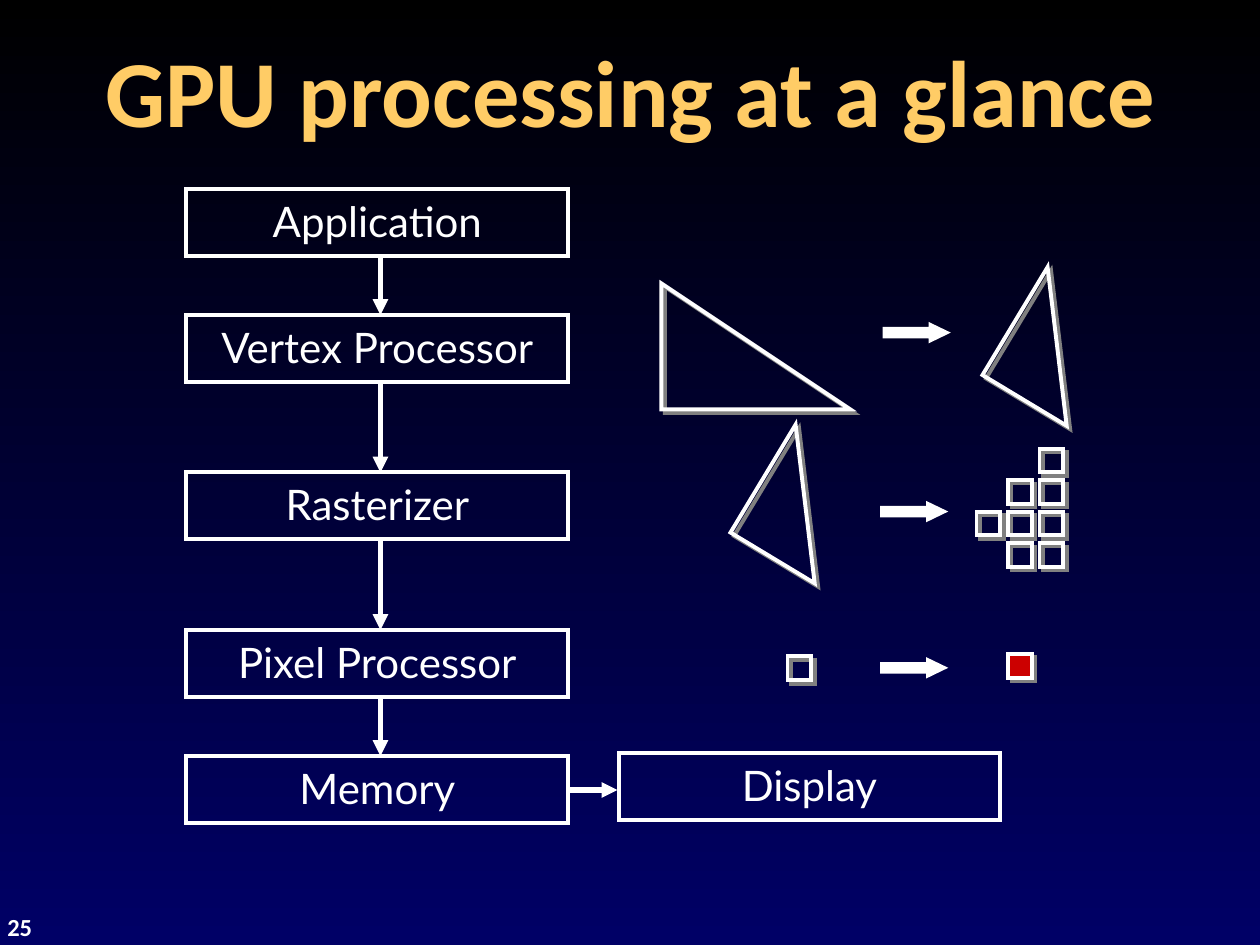
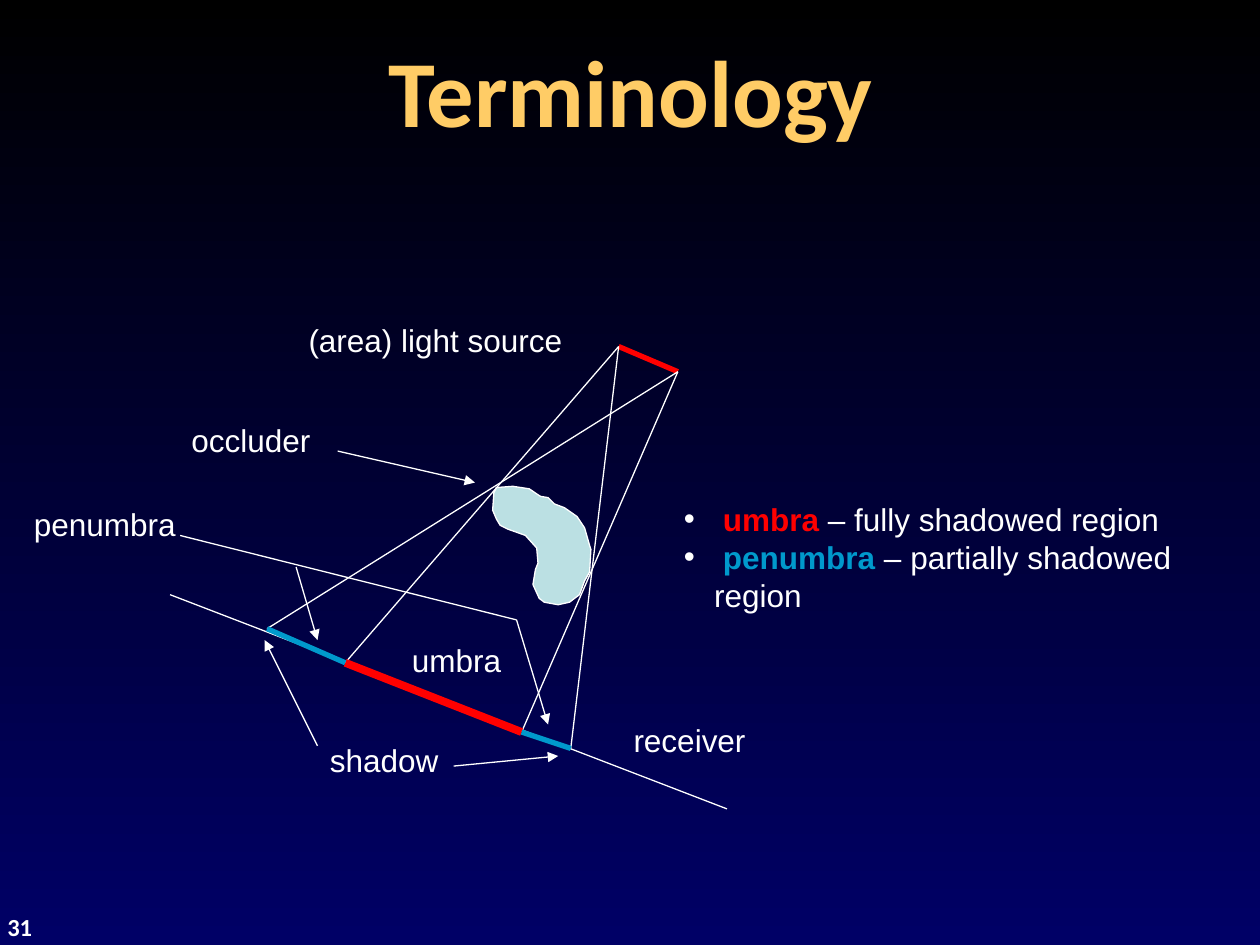
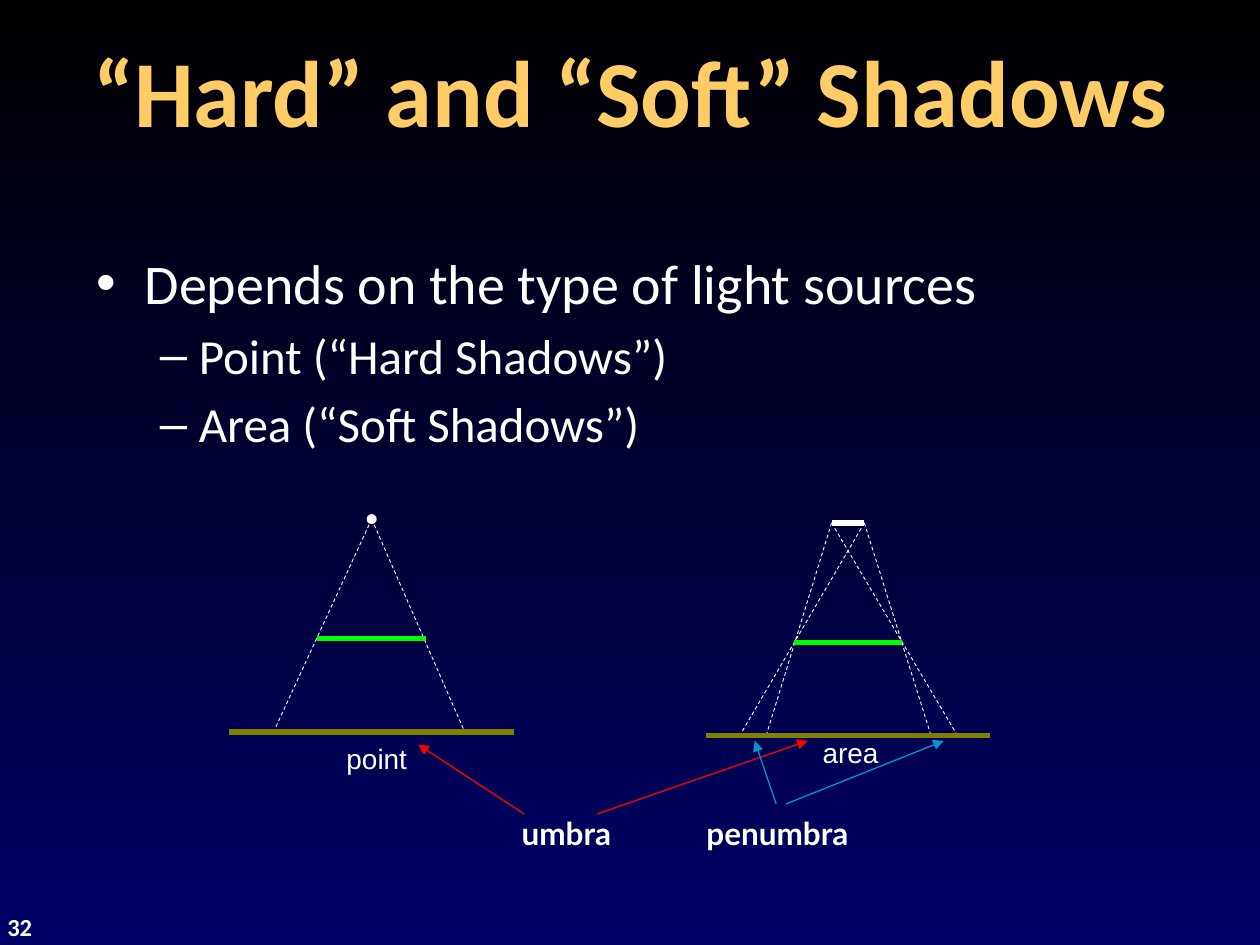
from dataclasses import dataclass
from itertools import pairwise

from lxml.etree import SubElement
from pptx import Presentation
from pptx.dml.color import RGBColor
from pptx.enum.dml import MSO_LINE
from pptx.enum.shapes import MSO_CONNECTOR, MSO_SHAPE
from pptx.enum.text import MSO_ANCHOR, MSO_AUTO_SIZE, PP_ALIGN
from pptx.oxml.ns import qn
from pptx.util import Inches, Pt


@dataclass(frozen=True)
class Theme:
    # Colours
    sky: str = "000000"
    deep: str = "000066"
    title: str = "FFCC66"
    white: str = "FFFFFF"
    shade: str = "808080"
    pixel: str = "CC0000"
    umbra: str = "FF0000"
    penumbra: str = "0099CC"
    occluder: str = "BBE0E3"
    blocker: str = "00FF00"
    ground: str = "808000"
    # Fonts
    heading: str = "Calibri"
    diagram: str = "Lato"
    plain: str = "Arial"
    # Type sizes in points
    title_size: int = 54
    body_size: int = 32
    sub_size: int = 28
    step_size: int = 24
    label_size: int = 18
    caption_size: int = 16
    number_size: int = 14
    # Line widths in points
    hair: float = 0.75
    ray: float = 0.5
    outline: float = 2.25
    thick: float = 3
    heavy: float = 4.5


THEME = Theme()


def rgb(color):
    return RGBColor.from_string(color)


def add_run(paragraph, text, font, size, color=THEME.white, bold=False):
    run = paragraph.add_run()
    run.text = text
    run.font.name = font
    run.font.size = Pt(size)
    run.font.bold = bold
    run.font.color.rgb = rgb(color)


def add_bullet(paragraph, mark, margin, hanging):
    properties = paragraph._p.get_or_add_pPr()
    properties.set("marL", str(Inches(margin)))
    properties.set("indent", str(-Inches(hanging)))
    SubElement(properties, qn("a:buFont"), typeface=THEME.plain)
    SubElement(properties, qn("a:buChar"), char=mark)


def add_drop_shadow(shape):
    effects = shape.element.spPr.find(qn("a:effectLst"))
    shadow = SubElement(effects, qn("a:outerShdw"), dist=str(Pt(2.8)),
                        dir="2700000", algn="ctr", rotWithShape="0")
    SubElement(shadow, qn("a:srgbClr"), val=THEME.shade)


def sharpen_corners(shape):
    SubElement(shape.element.spPr.find(qn("a:ln")), qn("a:miter"), lim="800000")


class Panel:
    """A region whose parts are placed in inches from its top left corner."""

    def __init__(self, slide, left, top, grouped=False):
        self.shapes = slide.shapes.add_group_shape().shapes if grouped else slide.shapes
        self.left, self.top = left, top

    def point(self, x, y):
        return Inches(self.left + x), Inches(self.top + y)

    def line(self, start, end, color=THEME.white, width=THEME.hair,
             dashed=False, arrow=False):
        connector = self.shapes.add_connector(
            MSO_CONNECTOR.STRAIGHT, *self.point(*start), *self.point(*end))
        connector.line.color.rgb = rgb(color)
        connector.line.width = Pt(width)
        if dashed:
            connector.line.dash_style = MSO_LINE.DASH
        properties = connector.element.spPr
        if arrow:
            SubElement(properties.find(qn("a:ln")), qn("a:tailEnd"), type="triangle")
        SubElement(properties, qn("a:effectLst"))

    def shape(self, preset, x, y, width, height, fill=None,
              outline=THEME.outline, raised=False):
        shape = self.shapes.add_shape(
            preset, *self.point(x, y), Inches(width), Inches(height))
        return self.style(shape, fill, outline, raised)

    def style(self, shape, fill, outline, raised=False):
        shape.shadow.inherit = False
        if fill:
            shape.fill.solid()
            shape.fill.fore_color.rgb = rgb(fill)
        else:
            shape.fill.background()
        if outline:
            shape.line.color.rgb = rgb(THEME.white)
            shape.line.width = Pt(outline)
            sharpen_corners(shape)
        else:
            shape.line.fill.background()
        if raised:
            add_drop_shadow(shape)
        return shape

    def text_frame(self, x, y, width, height, wrap=True):
        box = self.shapes.add_textbox(
            *self.point(x, y), Inches(width), Inches(height))
        box.text_frame.word_wrap = wrap
        return box.text_frame

    def label(self, text, x, y, width, height=0.4, font=THEME.plain,
              size=THEME.label_size, bold=False, align=PP_ALIGN.LEFT, wrap=False):
        paragraph = self.text_frame(x, y, width, height, wrap).paragraphs[0]
        paragraph.alignment = align
        add_run(paragraph, text, font, size, bold=bold)


# Shared background, title and slide number
def set_background(master):
    fill = master.background.fill
    fill.gradient()
    fill.gradient_angle = 270
    for stop, color in zip(fill.gradient_stops, (THEME.sky, THEME.deep)):
        stop.color.rgb = rgb(color)


def add_titled_slide(deck, title, number):
    slide = deck.slides.add_slide(deck.slide_layouts.get_by_name("Title Only"))
    heading = slide.shapes.title
    heading.left, heading.top = Inches(0.17), Inches(0.17)
    heading.width, heading.height = Inches(9.67), Inches(1.08)
    frame = heading.text_frame
    frame.auto_size = MSO_AUTO_SIZE.NONE
    frame.vertical_anchor = MSO_ANCHOR.MIDDLE
    frame.paragraphs[0].alignment = PP_ALIGN.CENTER
    add_run(frame.paragraphs[0], title, THEME.heading, THEME.title_size,
            THEME.title, True)
    Panel(slide, -0.04, 7.19).label(
        number, 0, 0, 0.66, 0.33, THEME.heading, THEME.number_size, True, wrap=True)
    return slide


# GPU processing: stages from top to bottom
STEP_WIDTH, STEP_HEIGHT = 3.03, 0.53
STEPS = {"Application": 0, "Vertex Processor": 1, "Rasterizer": 2.25,
         "Pixel Processor": 3.5, "Memory": 4.5}


def add_step(panel, name, x, y):
    step = panel.shape(MSO_SHAPE.RECTANGLE, x, y, STEP_WIDTH, STEP_HEIGHT)
    frame = step.text_frame
    frame.vertical_anchor = MSO_ANCHOR.TOP
    frame.paragraphs[0].alignment = PP_ALIGN.CENTER
    add_run(frame.paragraphs[0], name, THEME.diagram, THEME.step_size)


def add_pipeline(slide, left, top):
    panel = Panel(slide, left, top)
    for name, y in STEPS.items():
        add_step(panel, name, 0, y)
    for y, next_y in pairwise(STEPS.values()):
        panel.line((1.54, y + STEP_HEIGHT), (1.54, next_y),
                   width=THEME.thick, arrow=True)
    panel.line((STEP_WIDTH, 4.77), (3.42, 4.77), width=THEME.thick, arrow=True)
    add_step(panel, "Display", 3.43, 4.48)


def add_becomes(panel, x, y):
    arrow = panel.shape(MSO_SHAPE.RIGHT_ARROW, x, y, 0.49, 0.12, THEME.white)
    arrow.adjustments[1] = 1.033


def add_triangle(panel, x, y, width=0.78, rotation=31.1):
    triangle = panel.shape(MSO_SHAPE.RIGHT_TRIANGLE, x, y, width, 1, raised=True)
    triangle.rotation = rotation


def add_fragment(panel, x, y, fill=None):
    panel.shape(MSO_SHAPE.RECTANGLE, x, y, 0.19, 0.19, fill, raised=True)


def add_vertex_example(slide, left, top):
    panel = Panel(slide, left, top, grouped=True)
    add_triangle(panel, 0, 0, 1.5, 0)
    add_triangle(panel, 2.75, 0)
    add_becomes(panel, 1.77, 0.33)


def add_raster_example(slide, left, top):
    panel = Panel(slide, left, top, grouped=True)
    add_triangle(panel, 0, 0)
    for row, columns in enumerate([(2,), (1, 2), (0, 1, 2), (1, 2)]):
        for column in columns:
            add_fragment(panel, 1.75 + 0.25 * column, 0.06 + 0.25 * row)
    add_becomes(panel, 1, 0.5)


def add_pixel_example(slide, left, top):
    panel = Panel(slide, left, top, grouped=True)
    add_fragment(panel, 0, 0.02)
    add_becomes(panel, 0.75, 0.05)
    add_fragment(panel, 1.75, 0, THEME.pixel)


# Terminology: outline of the occluder, clockwise
OCCLUDER = [
    (0.03, 0.03), (0.16, 0.02), (0.29, 0.04), (0.35, 0.08), (0.38, 0.1),
    (0.44, 0.11), (0.49, 0.16), (0.57, 0.19), (0.67, 0.26), (0.73, 0.35),
    (0.77, 0.49), (0.78, 0.52), (0.77, 0.7), (0.73, 0.77), (0.69, 0.88),
    (0.61, 0.94), (0.52, 0.96), (0.41, 0.94), (0.37, 0.91), (0.32, 0.8),
    (0.34, 0.68), (0.36, 0.63), (0.35, 0.51), (0.26, 0.41), (0.12, 0.36),
    (0.06, 0.33), (0.03, 0.28), (0, 0.21), (0.01, 0.07),
]


def add_occluder(panel, x, y):
    start, *outline = [panel.point(x + dx, y + dy) for dx, dy in OCCLUDER]
    builder = panel.shapes.build_freeform(*start)
    builder.add_line_segments(outline, close=True)
    panel.style(builder.convert_to_shape(), THEME.occluder, THEME.hair)


def add_shadow_terms(slide, left, top):
    panel = Panel(slide, left, top, grouped=True)
    light_left, light_right = (4.91, 0.25), (5.38, 0.45)
    shadow_start, shadow_end = (2.12, 2.49), (4.53, 3.44)
    umbra_start, umbra_end = (2.74, 2.76), (4.14, 3.31)
    bend = (4.1, 2.42)

    # Receiver, light and rays
    add_occluder(panel, 3.91, 1.34)
    panel.line((1.35, 2.22), (5.77, 3.92))
    panel.line(light_left, light_right, THEME.umbra, THEME.thick)
    for light, hits in ((light_left, (umbra_start, shadow_end)),
                        (light_right, (shadow_start, umbra_end))):
        for hit in hits:
            panel.line(light, hit)

    # Shadow regions
    panel.line(umbra_start, umbra_end, THEME.umbra, THEME.heavy)
    panel.line(umbra_start, shadow_start, THEME.penumbra, THEME.thick)
    panel.line(umbra_end, shadow_end, THEME.penumbra, THEME.thick)

    # Labels and pointers
    for term, x, y, width in (
            ("(area) light source", 2.35, 0, 2.22), ("receiver", 4.93, 3.17, 1.16),
            ("shadow", 2.52, 3.33, 1.06), ("occluder", 1.42, 0.79, 1.15),
            ("umbra", 3.17, 2.54, 0.91), ("penumbra", 0.17, 1.46, 1.33)):
        panel.label(term, x, y, width)
    panel.line((1.43, 1.75), bend)
    for start, end in (((2.52, 3.42), (2.1, 2.58)), ((3.6, 3.58), (4.43, 3.5)),
                       ((2.68, 1.08), (3.77, 1.33)), ((2.35, 2), (2.52, 2.58)),
                       (bend, (4.35, 3.25))):
        panel.line(start, end, arrow=True)


def add_definitions(slide, left, top):
    frame = Panel(slide, left, top).text_frame(0, 0, 4.68, 0.7)
    definitions = (("umbra", THEME.umbra, " – fully shadowed region"),
                   ("penumbra", THEME.penumbra, " – partially shadowed region"))
    for index, (term, color, meaning) in enumerate(definitions):
        paragraph = frame.add_paragraph() if index else frame.paragraphs[0]
        add_bullet(paragraph, "•", 0.24, 0.24)
        add_run(paragraph, " ", THEME.plain, THEME.label_size)
        add_run(paragraph, term, THEME.plain, THEME.label_size, color, True)
        add_run(paragraph, meaning, THEME.plain, THEME.label_size)


# Hard and soft shadows
def add_light_types(slide, left, top):
    frame = Panel(slide, left, top).text_frame(0, 0, 8.5, 2.17)
    items = (("Depends on the type of light sources", 0),
             ("Point (“Hard Shadows”)", 1), ("Area (“Soft Shadows”)", 1))
    for index, (text, level) in enumerate(items):
        paragraph = frame.add_paragraph() if index else frame.paragraphs[0]
        size = THEME.sub_size if level else THEME.body_size
        paragraph.level = level
        paragraph.space_before = Pt(0.2 * size)
        add_bullet(paragraph, *(("–", 0.81, 0.31) if level else ("•", 0.38, 0.38)))
        add_run(paragraph, text, THEME.heading, size)


def add_light_setup(slide, left, top, name, name_at, rays, ray_depth):
    panel = Panel(slide, left, top, grouped=True)
    for source_x, ground_x in rays:
        panel.line((source_x, 0), (ground_x, ray_depth), width=THEME.ray, dashed=True)
    panel.line((0.7, 0.95), (1.56, 0.95), THEME.blocker, THEME.thick)
    panel.line((0, 1.69), (2.26, 1.69), THEME.ground, THEME.thick)
    source_left, source_right = min(rays)[0], max(rays)[0]
    if source_left == source_right:
        panel.shape(MSO_SHAPE.OVAL, source_left - 0.04, -0.04, 0.08, 0.08,
                    THEME.white, outline=None)
    else:
        panel.line((source_left, 0), (source_right, 0), width=THEME.thick)
    Panel(slide, left, top).label(
        name, *name_at, 2.5, 0.37, size=THEME.caption_size,
        align=PP_ALIGN.CENTER, wrap=True)


def add_shadow_callouts(slide, left, top):
    panel = Panel(slide, left, top)
    for start, end, color in (
            ((1.42, 0.58), (3.09, 0), THEME.umbra),
            ((2.92, 0.5), (4.17, 0), THEME.penumbra),
            ((0.84, 0.58), (0, 0.03), THEME.umbra),
            ((2.84, 0.5), (2.67, 0), THEME.penumbra)):
        panel.line(start, end, color, arrow=True)
    for term, x, width in (("umbra", 0.67, 1.01), ("penumbra", 2.11, 1.48)):
        panel.label(term, x, 0.53, width, font=THEME.diagram, bold=True,
                    align=PP_ALIGN.CENTER)


def main():
    deck = Presentation()
    deck.slide_width, deck.slide_height = Inches(10), Inches(7.5)
    set_background(deck.slide_master)

    gpu = add_titled_slide(deck, "GPU processing at a glance", "25")
    add_pipeline(gpu, 1.48, 1.5)
    add_vertex_example(gpu, 5.25, 2.25)
    add_raster_example(gpu, 6, 3.5)
    add_pixel_example(gpu, 6.25, 5.19)

    terms = add_titled_slide(deck, "Terminology", "31")
    add_shadow_terms(terms, 0, 2.5)
    add_definitions(terms, 5.33, 3.92)

    shadows = add_titled_slide(deck, "“Hard” and “Soft” Shadows", "32")
    add_light_types(shadows, 0.67, 1.92)
    add_light_setup(shadows, 5.6, 4.15, "area", (-0.1, 1.64),
                    [(1.26, 0.27), (1, 2), (1.26, 1.79), (1, 0.48)], 1.69)
    add_light_setup(shadows, 1.82, 4.12, "point", (-0.08, 1.72),
                    [(1.13, 0.36), (1.13, 1.86)], 1.67)
    add_shadow_callouts(shadows, 3.32, 5.88)

    deck.save("out.pptx")


if __name__ == "__main__":
    main()
